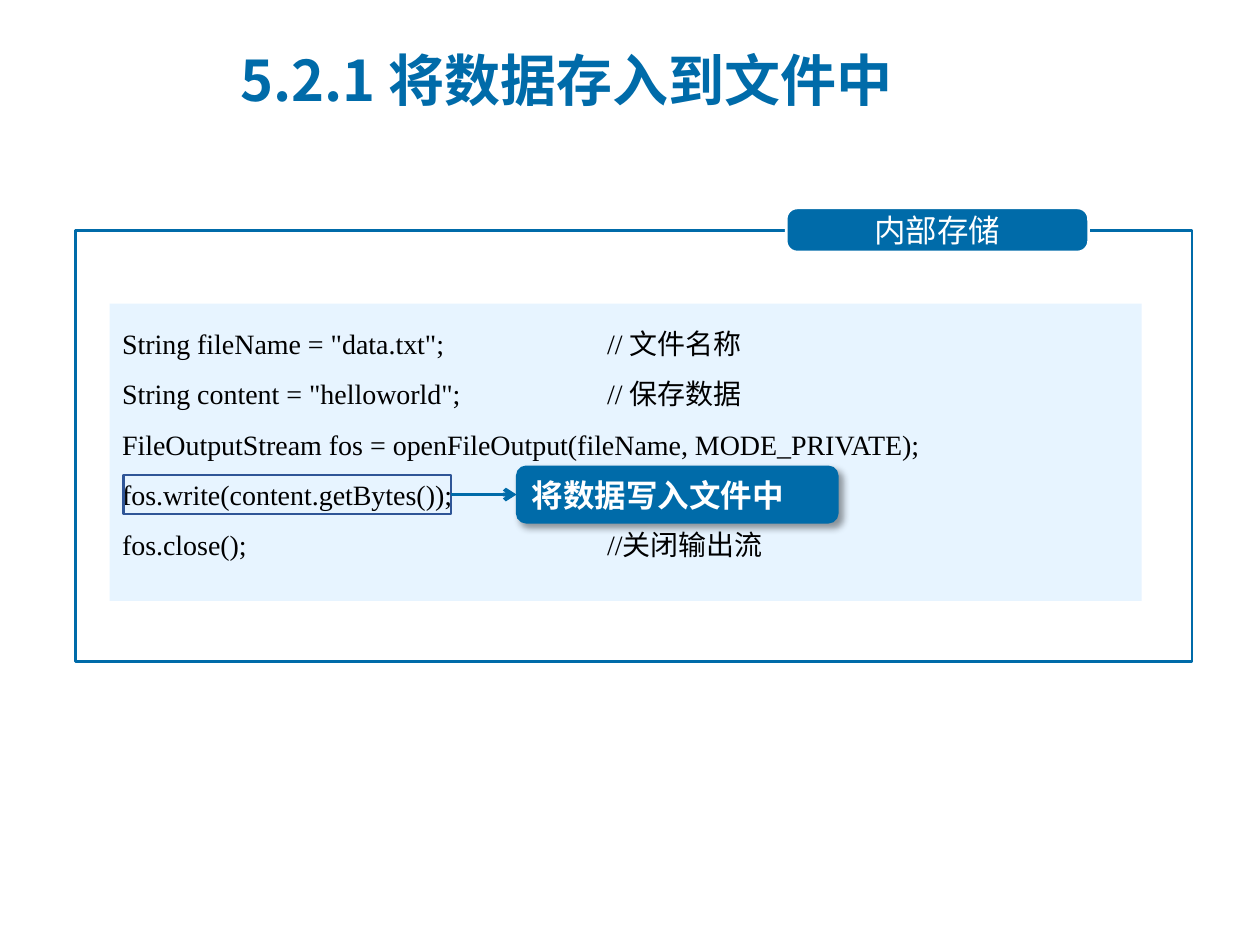
from dataclasses import dataclass
from typing import Optional

from lxml import etree
from pptx import Presentation
from pptx import util as u
from pptx.dml.color import RGBColor
from pptx.enum import shapes, text
from pptx.oxml import ns

BLUE = RGBColor(0x00, 0x6B, 0xA9)
NAVY = RGBColor(0x2F, 0x55, 0x97)
PALE = RGBColor(0xE7, 0xF4, 0xFF)
WHITE = RGBColor(0xFF, 0xFF, 0xFF)
BLACK = RGBColor(0x00, 0x00, 0x00)
CJK = "Noto Sans CJK SC"
RECT = shapes.MSO_SHAPE.RECTANGLE
ROUNDED = shapes.MSO_SHAPE.ROUNDED_RECTANGLE
COMMENT_TAB = 3.85


@dataclass
class Box:
    left: float
    top: float
    width: float
    height: float
    fill: Optional[RGBColor] = None
    line: Optional[RGBColor] = None
    weight: float = 1.5
    preset: shapes.MSO_SHAPE = RECT

    def place(self) -> tuple:
        return tuple(map(u.Inches, (self.left, self.top, self.width, self.height)))


@dataclass
class Style:
    size: float
    face: str
    color: RGBColor
    bold: bool = False
    align: text.PP_ALIGN = text.PP_ALIGN.LEFT
    anchor: text.MSO_ANCHOR = text.MSO_ANCHOR.MIDDLE
    spacing: float = 1.0
    tab: Optional[float] = None


def add_node(parent, tag: str, **attributes):
    return etree.SubElement(parent, ns.qn(tag), attributes)


def draw_box(slide, box: Box):
    shape = slide.shapes.add_shape(box.preset, *box.place())
    shape.shadow.inherit = False
    if box.fill is None:
        shape.fill.background()
    else:
        shape.fill.solid()
        shape.fill.fore_color.rgb = box.fill
    if box.line is None:
        shape.line.fill.background()
    else:
        shape.line.color.rgb = box.line
        shape.line.width = u.Pt(box.weight)
    return shape


def write(shape, lines: list[str], style: Style) -> None:
    frame = shape.text_frame
    frame.word_wrap = True
    frame.vertical_anchor = style.anchor
    frame.text = "\n".join(lines)
    for paragraph in frame.paragraphs:
        paragraph.alignment = style.align
        paragraph.line_spacing = style.spacing
        if style.tab:
            tabs = add_node(paragraph._p.get_or_add_pPr(), "a:tabLst")
            add_node(tabs, "a:tab", pos=str(u.Inches(style.tab)), algn="l")
        font = paragraph.font
        font.size = u.Pt(style.size)
        font.bold = style.bold
        font.color.rgb = style.color
        font.name = style.face
        add_node(paragraph._p.pPr.find(ns.qn("a:defRPr")), "a:ea", typeface=CJK)


def cast_shadow(shape) -> None:
    effects = shape._element.spPr.find(ns.qn("a:effectLst"))
    shadow = add_node(effects, "a:outerShdw", blurRad=str(u.Pt(4)), dist=str(u.Pt(3)),
                      dir=str(45 * 60000), algn="tl", rotWithShape="0")
    add_node(add_node(shadow, "a:srgbClr", val=str(BLACK)), "a:alpha", val="40000")


def join(slide, source, target) -> None:
    arrow = slide.shapes.add_connector(shapes.MSO_CONNECTOR.STRAIGHT, 0, 0, 0, 0)
    arrow.begin_connect(source, 3)
    arrow.end_connect(target, 1)
    arrow.line.color.rgb = BLUE
    arrow.line.width = u.Pt(2.25)
    add_node(arrow.line._get_or_add_ln(), "a:tailEnd", type="arrow")
    add_node(arrow._element.spPr, "a:effectLst")


def main() -> None:
    deck = Presentation()
    deck.slide_width, deck.slide_height = u.Inches(10), u.Inches(7.5)
    slide = deck.slides.add_slide(deck.slide_layouts[6])

    draw_box(slide, Box(0.6, 1.83, 8.86, 3.42, line=BLUE))
    section = draw_box(slide, Box(6.24, 1.65, 2.4, 0.35, BLUE, WHITE, preset=ROUNDED))
    section.adjustments[0] = 0.25
    write(section, ["内部存储"], Style(18, CJK, WHITE, align=text.PP_ALIGN.CENTER))

    title = slide.shapes.add_textbox(*Box(1.81, 0.21, 5.63, 0.84).place())
    write(title, ["5.2.1 将数据存入到文件中"], Style(32, CJK, BLUE, bold=True))

    code = draw_box(slide, Box(0.87, 2.41, 8.19, 2.36, PALE))
    write(code, [
        'String fileName = "data.txt";\t// 文件名称',
        'String content = "helloworld";\t// 保存数据',
        "FileOutputStream fos = openFileOutput(fileName, MODE_PRIVATE);",
        "fos.write(content.getBytes());",
        "fos.close();\t//关闭输出流",
    ], Style(16, "Times New Roman", BLACK, anchor=text.MSO_ANCHOR.TOP,
             spacing=1.5, tab=COMMENT_TAB))

    callout = draw_box(slide, Box(4.1, 3.7, 2.55, 0.45, BLUE, BLUE, 0.75, ROUNDED))
    cast_shadow(callout)
    write(callout, ["将数据写入文件中"], Style(18, "Arial", WHITE, bold=True))
    write_call = draw_box(slide, Box(0.98, 3.77, 2.6, 0.31, line=NAVY))
    join(slide, write_call, callout)

    deck.save("out.pptx")


if __name__ == "__main__":
    main()
